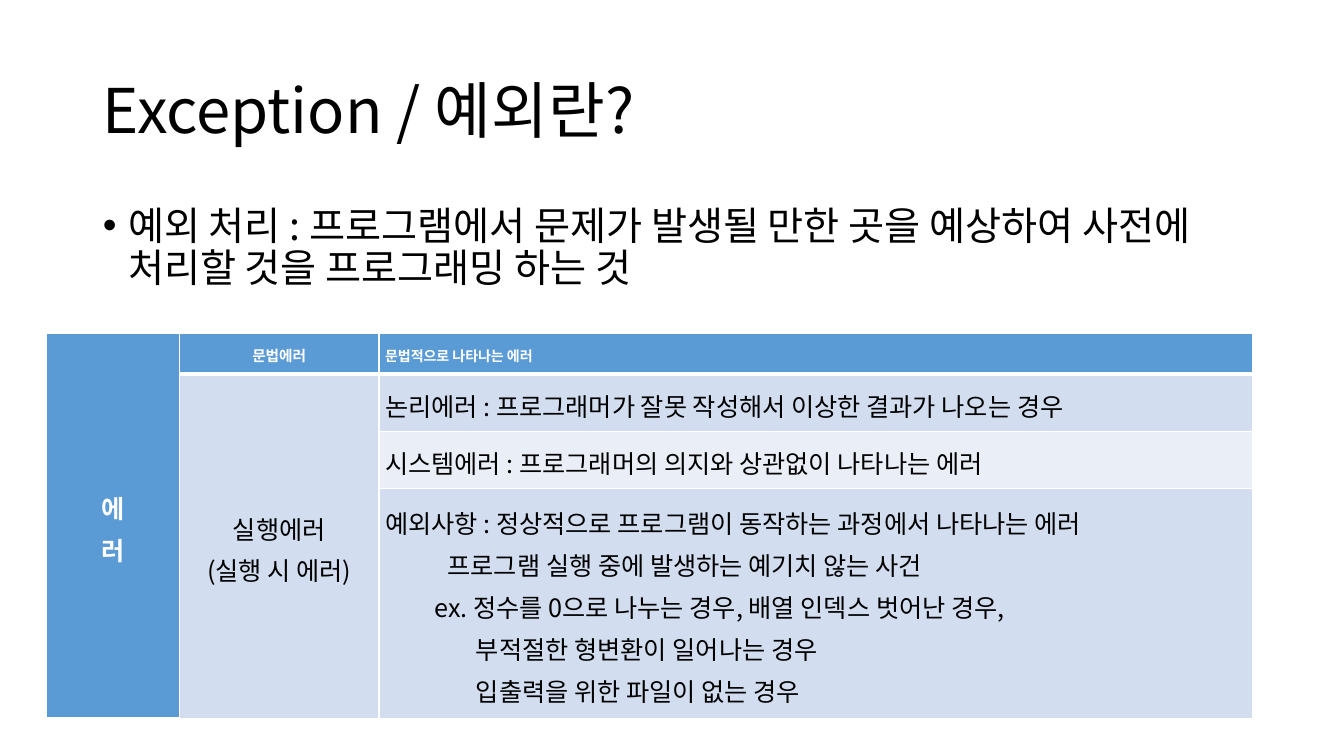
"""Build a slide that explains exceptions with a table of error kinds."""
from lxml import etree
from pptx import Presentation
from pptx.dml.color import RGBColor
from pptx.enum.text import MSO_ANCHOR, MSO_AUTO_SIZE, PP_ALIGN
from pptx.oxml.ns import qn
from pptx.util import Inches, Pt

LEFT, MID, JUST = PP_ALIGN.LEFT, PP_ALIGN.CENTER, PP_ALIGN.JUSTIFY
TOP, CENTER = MSO_ANCHOR.TOP, MSO_ANCHOR.MIDDLE
FONT = "Noto Sans CJK KR"
HEX = {"black": "000000", "white": "FFFFFF", "head": "5B9BD5",
       "dark": "D2DEEF", "light": "EAEFF7"}

TITLE = "Exception / 예외란?"
BODY = "예외 처리 : 프로그램에서 문제가 발생될 만한 곳을 예상하여 사전에 처리할 것을 프로그래밍 하는 것"
COLS = [1.32, 1.98, 8.66]
ROWS = [0.4, 0.57, 0.57, 2.28]
HEAD = {"color": "white", "bold": True}
CELLS = [
    (0, 0, 4, "head", ["에", "러"], {**HEAD, "align": MID}),
    (0, 1, 1, "head", ["문법에러"], {**HEAD, "align": MID, "size": 10.5}),
    (0, 2, 1, "head", ["문법적으로 나타나는 에러"], {**HEAD, "size": 10}),
    (1, 1, 3, "dark", ["실행에러", "(실행 시 에러)"], {"align": MID}),
    (1, 2, 1, "dark", ["논리에러 : 프로그래머가 잘못 작성해서 이상한 결과가 나오는 경우"], {}),
    (2, 2, 1, "light", ["시스템에러 : 프로그래머의 의지와 상관없이 나타나는 에러"], {}),
    (3, 2, 1, "dark", [
        "예외사항 : 정상적으로 프로그램이 동작하는 과정에서 나타나는 에러",
        "프로그램 실행 중에 발생하는 예기치 않는 사건",
        "ex. 정수를 0으로 나누는 경우, 배열 인덱스 벗어난 경우,",
        "부적절한 형변환이 일어나는 경우",
        "입출력을 위한 파일이 없는 경우",
    ], {"indents": [0, 0.62, 0.49, 0.9, 0.9]}),
]


def write(frame, lines, size=18, color="black", bold=False, align=JUST,
          space=1.15, before=0, indents=None, hang=0):
    """Fill a text frame with one paragraph per line."""
    for i, line in enumerate(lines):
        para = frame.add_paragraph() if i else frame.paragraphs[0]
        para.alignment, para.line_spacing = align, space
        para.space_before = Pt(before)
        if indents:
            props = para._p.get_or_add_pPr()
            props.set("marL", str(Inches(indents[i])))
            props.set("indent", str(Inches(-hang)))
        run = para.add_run()
        run.text = line
        font = run.font
        font.name, font.size, font.bold = FONT, Pt(size), bold
        font.color.rgb = RGBColor.from_string(HEX[color])
        etree.SubElement(font._element, qn("a:ea"), typeface=FONT)


def place(shape, box, anchor):
    """Move a placeholder and set how its text sits."""
    shape.left, shape.top, shape.width, shape.height = map(Inches, box)
    frame = shape.text_frame
    frame.auto_size, frame.word_wrap = MSO_AUTO_SIZE.NONE, True
    frame.vertical_anchor = anchor
    return frame


def edge(cell, low):
    """Draw white borders round a cell, with the given lower width."""
    props = cell._tc.get_or_add_tcPr()
    sides = {"lnL": 1, "lnR": 1, "lnT": 1, "lnB": low}
    for i, (side, width) in enumerate(sides.items()):
        line = etree.Element(qn("a:" + side), w=str(Pt(width)))
        fill = etree.SubElement(line, qn("a:solidFill"))
        etree.SubElement(fill, qn("a:srgbClr"), val=HEX["white"])
        props.insert(i, line)


def main():
    """Lay out the slide and save it."""
    deck = Presentation()
    deck.slide_width, deck.slide_height = Inches(13.33), Inches(7.5)
    slide = deck.slides.add_slide(deck.slide_layouts[1])
    title, body = slide.placeholders
    write(place(title, (0.92, 0.4, 11.5, 1.45), CENTER), [TITLE],
          size=44, align=LEFT, space=0.9)
    write(place(body, (0.92, 2, 11.5, 4.76), TOP), [BODY], size=28,
          align=LEFT, space=0.9, before=10, indents=[0.25], hang=0.25)

    table = slide.shapes.add_table(
        len(ROWS), len(COLS), Inches(0.46), Inches(3.31),
        Inches(sum(COLS)), Inches(sum(ROWS))).table
    for col, width in zip(table.columns, COLS):
        col.width = Inches(width)
    for row, height in zip(table.rows, ROWS):
        row.height = Inches(height)
    for r, c, span, fill, lines, look in CELLS:
        cell = table.cell(r, c)
        if span > 1:
            cell.merge(table.cell(r + span - 1, c))
        cell.margin_left = cell.margin_right = Inches(0.06)
        cell.margin_top = cell.margin_bottom = 0
        cell.vertical_anchor = CENTER
        cell.fill.solid()
        cell.fill.fore_color.rgb = RGBColor.from_string(HEX[fill])
        edge(cell, 1 if r else 3)
        write(cell.text_frame, lines, **look)
    deck.save("out.pptx")


if __name__ == "__main__":
    main()
